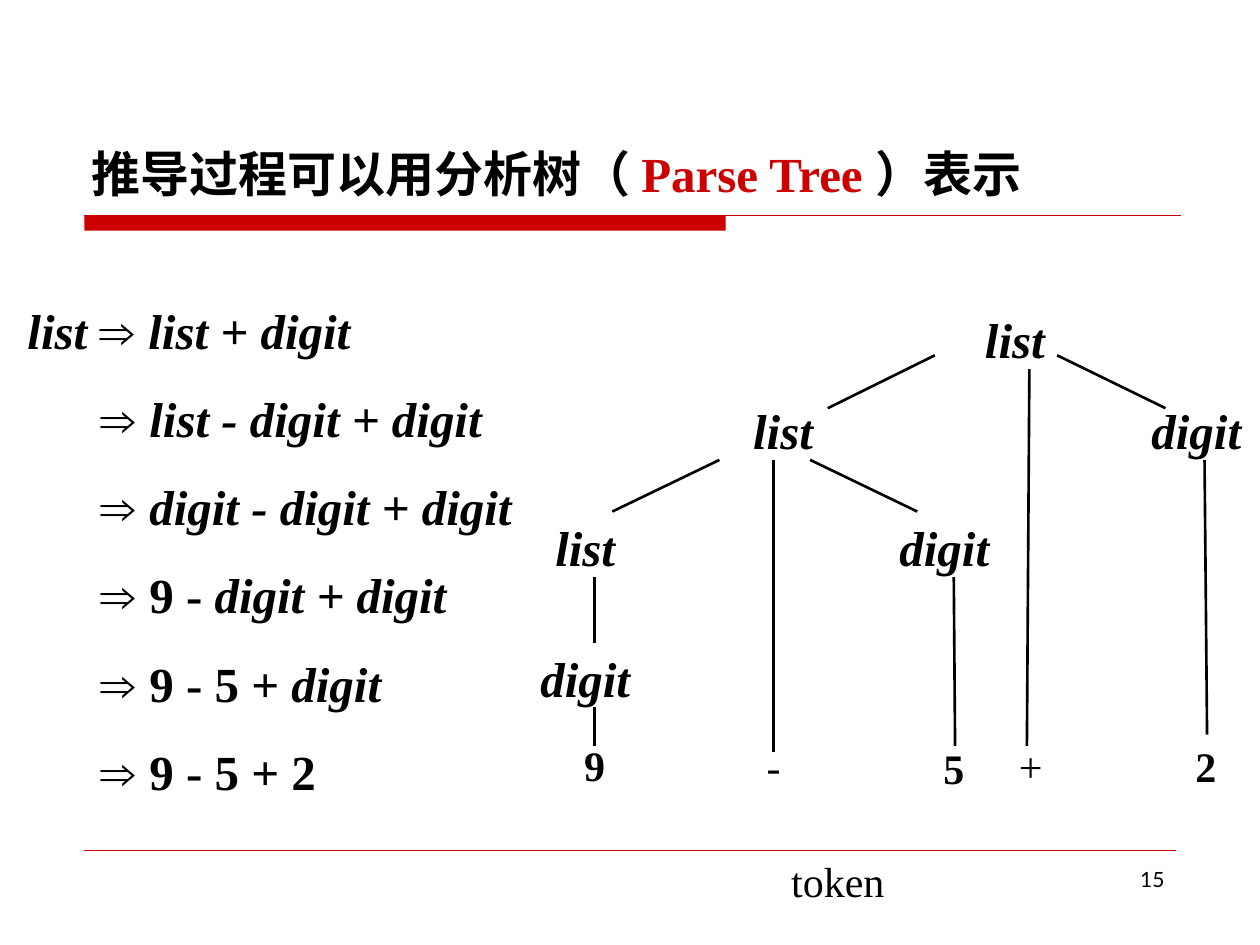
import pptx
import pptx.dml.color
import pptx.enum.shapes
import pptx.enum.text
import pptx.oxml.ns
import pptx.util
from lxml import etree

Inches = pptx.util.Inches
ALIGN = pptx.enum.text.PP_ALIGN
ANCHOR = pptx.enum.text.MSO_ANCHOR

BLACK = "000000"
RED = "CC0000"
SERIF = "Times New Roman"

# Rows of the parse tree: nonterminals as (word, left, top)
NODE_WIDTH, NODE_HEIGHT = 1.57, 0.57
NODES = [
    ("list", 7.27, 2.41),
    ("list", 5.43, 3.13), ("digit", 8.71, 3.13),
    ("list", 3.86, 4.06), ("digit", 6.71, 4.06),
    ("digit", 3.86, 5.1),
]

# Terminals as (symbol, left, top, bold)
LEAF_WIDTH, LEAF_HEIGHT = 0.86, 0.5
LEAVES = [
    ("9", 4.29, 5.82, True), ("-", 5.71, 5.83, False), ("5", 7.14, 5.84, True),
    ("+", 7.75, 5.83, False), ("2", 9.14, 5.83, True),
]

# Tree edges as (x1, y1, x2, y2), from parent to child
EDGES = [
    (7.42, 2.82, 6.57, 3.24), (8.17, 2.93, 8.15, 5.92), (8.39, 2.82, 9.25, 3.24),
    (5.71, 3.65, 4.86, 4.06), (6.14, 3.65, 6.14, 5.97), (6.43, 3.65, 7.28, 4.06),
    (9.56, 3.65, 9.58, 5.83), (7.57, 4.58, 7.58, 5.92),
    (4.72, 4.58, 4.72, 5.1), (4.72, 5.61, 4.72, 5.92),
]

# Derivation steps as (upright part, italic part)
STEPS = [
    ("", "list + digit"),
    ("", "list - digit + digit"),
    ("", "digit - digit + digit"),
    ("9 - ", "digit + digit"),
    ("9 - 5 + ", "digit"),
    ("9 - 5 + 2", ""),
]


def color(value):
    return pptx.dml.color.RGBColor.from_string(value)


def add_run(paragraph, text, size, bold=False, italic=False, font=SERIF, fill=BLACK):
    run = paragraph.add_run()
    run.text = text
    run.font.size = pptx.util.Pt(size)
    run.font.name = font
    run.font.bold = bold
    run.font.italic = italic
    run.font.color.rgb = color(fill)


def add_text_box(slide, left, top, width, height, align=ALIGN.LEFT):
    """Add an empty wrapping text box and return its text frame."""
    shape = slide.shapes.add_textbox(
        Inches(left), Inches(top), Inches(width), Inches(height))
    frame = shape.text_frame
    frame.word_wrap = True
    frame.paragraphs[0].alignment = align
    return frame


def add_line(slide, x1, y1, x2, y2, fill, weight):
    line = slide.shapes.add_connector(
        pptx.enum.shapes.MSO_CONNECTOR.STRAIGHT,
        Inches(x1), Inches(y1), Inches(x2), Inches(y2))
    line.line.color.rgb = color(fill)
    line.line.width = pptx.util.Pt(weight)
    etree.SubElement(line._element.spPr, pptx.oxml.ns.qn("a:effectLst"))


def add_rules(slide):
    """Red bar and hairline under the title, and the footer line."""
    bar = slide.shapes.add_shape(
        pptx.enum.shapes.MSO_SHAPE.RECTANGLE,
        Inches(0.67), Inches(1.71), Inches(5.09), Inches(0.12))
    bar.shadow.inherit = False
    bar.fill.solid()
    bar.fill.fore_color.rgb = color(RED)
    bar.line.fill.background()
    add_line(slide, 0.67, 1.71, 9.37, 1.71, RED, 0.75)
    add_line(slide, 0.67, 6.75, 9.33, 6.75, RED, 0.25)


def add_title(slide):
    title = slide.shapes.title
    title.left, title.top = Inches(0.63), Inches(0.33)
    title.width, title.height = Inches(8.75), Inches(1.33)
    frame = title.text_frame
    frame.vertical_anchor = ANCHOR.BOTTOM
    paragraph = frame.paragraphs[0]
    paragraph.alignment = ALIGN.LEFT
    for text, fill in (("推导过程可以用分析树（ ", BLACK),
                       ("Parse Tree ", RED), ("）表示", BLACK)):
        add_run(paragraph, text, 28, bold=True, fill=fill)


def add_tree(slide):
    for word, left, top in NODES:
        frame = add_text_box(slide, left, top, NODE_WIDTH, NODE_HEIGHT, ALIGN.CENTER)
        add_run(frame.paragraphs[0], word, 28, bold=True, italic=True)
    for symbol, left, top, bold in LEAVES:
        frame = add_text_box(slide, left, top, LEAF_WIDTH, LEAF_HEIGHT, ALIGN.CENTER)
        add_run(frame.paragraphs[0], symbol, 24, bold=bold)
    for edge in EDGES:
        add_line(slide, *edge, BLACK, 1.5)


def add_derivation(slide):
    frame = add_text_box(slide, 0.12, 2.1, 4.73, 4.31)
    for index, (upright, italic) in enumerate(STEPS):
        if index == 0:
            paragraph = frame.paragraphs[0]
            add_run(paragraph, "list ", 28, bold=True, italic=True)
        else:
            # Later steps are indented so that the arrows line up
            paragraph = frame.add_paragraph()
            properties = paragraph._p.get_or_add_pPr()
            properties.set("marL", str(Inches(0.58)))
            properties.set("indent", "0")
        paragraph.line_spacing = 1.5
        add_run(paragraph, "⇒ ", 28, bold=True, font="Arial")
        if upright:
            add_run(paragraph, upright, 28, bold=True)
        if italic:
            add_run(paragraph, italic, 28, bold=True, italic=True)


def add_footer(slide):
    token = add_text_box(slide, 6.18, 6.74, 0.94, 0.5, ALIGN.CENTER)
    token.word_wrap = False
    token.vertical_anchor = ANCHOR.BOTTOM
    add_run(token.paragraphs[0], "token", 24)
    number = add_text_box(slide, 7.17, 6.83, 2.17, 0.52, ALIGN.RIGHT)
    add_run(number.paragraphs[0], "15", 12, font="Lato")


def main():
    presentation = pptx.Presentation()
    presentation.slide_width = Inches(10)
    presentation.slide_height = Inches(7.5)
    slide = presentation.slides.add_slide(presentation.slide_layouts[5])
    add_rules(slide)
    add_title(slide)
    add_tree(slide)
    add_derivation(slide)
    add_footer(slide)
    presentation.save("out.pptx")


if __name__ == "__main__":
    main()
